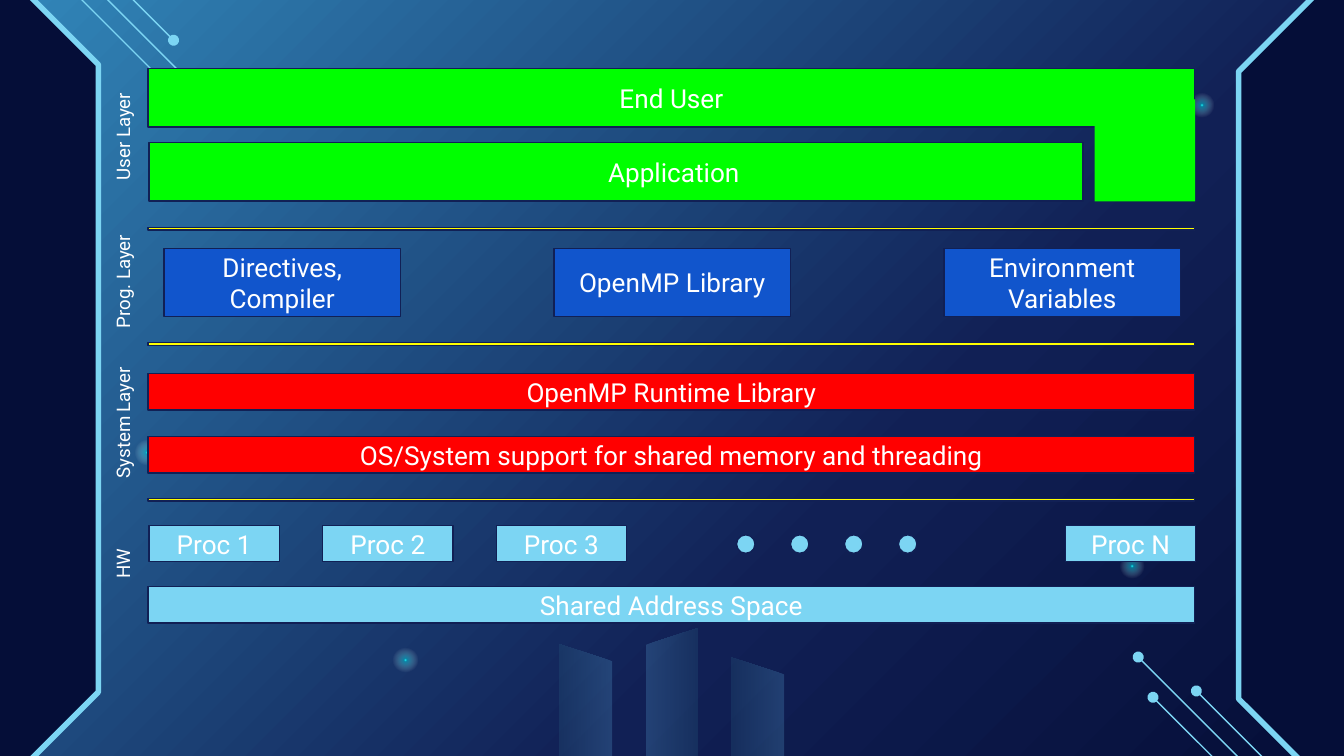
from dataclasses import dataclass

import pptx
import pptx.dml.color
import pptx.enum.shapes
import pptx.enum.text
import pptx.oxml.ns
import pptx.util
from lxml import etree

Cm = pptx.util.Cm
Pt = pptx.util.Pt
SHAPE = pptx.enum.shapes.MSO_SHAPE
qn = pptx.oxml.ns.qn


@dataclass(frozen=True)
class Theme:
    font: str = "Roboto"
    box_size: int = 14
    label_size: int = 10
    text: str = "FFFFFF"
    navy: str = "050E38"
    outline: str = "112055"
    sky: str = "7CD5F3"
    user: str = "00FF00"
    prog: str = "1155CC"
    system: str = "FF0000"
    rule: str = "FFFF00"
    background: tuple = ((0, "3186B9", 100), (64, "112055", 100), (100, "050E38", 100))
    glow: tuple = ((0, "21FFFF", 100), (9, "05D8E7", 48), (69, "FFFFFF", 0), (100, "FFFFFF", 0))
    tower: tuple = ((0, "59A4D3", 25), (100, "2A5F80", 25))


THEME = Theme()
LEFT, WIDTH = 2.8, 19.78
BAR_H = 0.69


def rgb(color):
    return pptx.dml.color.RGBColor.from_string(color)


def set_gradient(fill, element, stops, angle=None):
    """Fill with (position, colour, opacity) stops: linear at an angle, else radial."""
    fill.gradient()
    grad = element.find(".//" + qn("a:gradFill"))
    grad.attrib.clear()
    for child in list(grad):
        grad.remove(child)
    gs_list = etree.SubElement(grad, qn("a:gsLst"))
    for pos, color, opacity in stops:
        gs = etree.SubElement(gs_list, qn("a:gs"), pos=str(pos * 1000))
        clr = etree.SubElement(gs, qn("a:srgbClr"), val=color)
        if opacity < 100:
            etree.SubElement(clr, qn("a:alpha"), val=str(opacity * 1000))
    if angle is not None:
        etree.SubElement(grad, qn("a:lin"), ang=str(angle * 60000), scaled="0")
    else:
        radial = etree.SubElement(grad, qn("a:path"), path="circle")
        etree.SubElement(radial, qn("a:fillToRect"), l="50000", t="50000", r="50000", b="50000")


def add_shape(s, kind, x, y, w, h, fill=None, line=None, line_pt=0.75):
    sp = s.shapes.add_shape(kind, Cm(x), Cm(y), Cm(w), Cm(h))
    sp.shadow.inherit = False
    if fill:
        sp.fill.solid()
        sp.fill.fore_color.rgb = rgb(fill)
    if line:
        sp.line.color.rgb = rgb(line)
        sp.line.width = Pt(line_pt)
    else:
        sp.line.fill.background()
    return sp


def turn(sp, rotation):
    """Rotate a shape; those turned by 90 degrees are mirrored as well."""
    sp.rotation = rotation
    if rotation == 90:
        sp.element.spPr.find(qn("a:xfrm")).set("flipH", "1")


def write(sp, text, size):
    tf = sp.text_frame
    tf.word_wrap = True
    tf.margin_left = tf.margin_right = tf.margin_top = tf.margin_bottom = Cm(0.25)
    p = tf.paragraphs[0]
    p.text = text
    p.alignment = pptx.enum.text.PP_ALIGN.CENTER
    p.font.name = THEME.font
    p.font.size = Pt(size)
    p.font.color.rgb = rgb(THEME.text)
    return tf


def add_box(s, text, x, y, w, h, fill):
    sp = add_shape(s, SHAPE.RECTANGLE, x, y, w, h, fill, THEME.outline)
    tf = write(sp, text, THEME.box_size)
    tf.vertical_anchor = pptx.enum.text.MSO_ANCHOR.MIDDLE
    return tf


def add_label(s, text, y):
    sp = s.shapes.add_textbox(Cm(0.64), Cm(y), Cm(3.45), Cm(0.94))
    sp.rotation = 270
    write(sp, text, THEME.label_size)


def add_glow(s, x, y):
    sp = add_shape(s, SHAPE.OVAL, x, y, 0.48, 0.48)
    set_gradient(sp.fill, sp.element, THEME.glow)


def add_panel(s, x, y, rotation):
    sp = add_shape(s, SHAPE.SNIP_2_SAME_RECTANGLE, x, y, 15.44, 3.58, THEME.navy, THEME.sky, 3)
    sp.adjustments[0] = 0.5
    sp.adjustments[1] = 0
    turn(sp, rotation)


def add_tower(s, x, y, rotation):
    sp = add_shape(s, SHAPE.TRAPEZOID, x, y, 2.95, 0.99)
    sp.adjustments[0] = 0.321
    set_gradient(sp.fill, sp.element, THEME.tower, 90)
    turn(sp, rotation)


def add_circuit(s, x, y, run):
    """Diagonal line ending in a dot at (x, y), starting run away on both axes."""
    line = s.shapes.add_connector(pptx.enum.shapes.MSO_CONNECTOR.STRAIGHT,
                                  Cm(x + run), Cm(y + run), Cm(x), Cm(y))
    line.line.color.rgb = rgb(THEME.sky)
    line.line.width = Pt(0.75)
    etree.SubElement(line.line._get_or_add_ln(), qn("a:tailEnd"), type="oval")
    etree.SubElement(line.element.spPr, qn("a:effectLst"))


def add_decoration(s):
    set_gradient(s.background.fill, s.element, THEME.background, 45)
    for x, y in ((7.42, 12.24), (22.48, 1.75), (2.54, 8.31), (21.16, 10.46)):
        add_glow(s, x, y)
    add_panel(s, -7.65, 5.36, 90)
    for x, y in ((21.51, 12.42), (22.61, 13.06), (21.79, 13.18)):
        add_circuit(s, x, y, 4.15)
    for x, y in ((3.89, 1.85), (3.28, 0.76), (3.12, 1.57)):
        add_circuit(s, x, y, -4.15)
    for x, y, rotation in ((12.85, 13.41, 90), (11.23, 12.85, 270), (9.6, 13.16, 90)):
        add_tower(s, x, y, rotation)
    add_panel(s, 17.48, 5.49, 270)


def add_layers(s):
    for text, y, fill in (("Shared Address Space", 11.09, THEME.sky),
                          ("OS/System support for shared memory and threading", 8.25, THEME.system),
                          ("OpenMP Runtime Library", 7.06, THEME.system)):
        add_box(s, text, LEFT, y, WIDTH, BAR_H, fill)

    for text, column in (("Proc 1", 0), ("Proc 2", 1), ("Proc 3", 2), ("Proc N", 5.28)):
        add_box(s, text, 2.82 + column * 3.28, 9.93, 2.46, BAR_H, THEME.sky)
    for i in range(4):
        add_shape(s, SHAPE.OVAL, 13.92 + i * 1.02, 10.11, 0.35, 0.35, THEME.sky, THEME.outline)

    for i, text in enumerate(("Directives, Compiler", "OpenMP Library", "Environment Variables")):
        add_box(s, text, 3.1 + i * 7.37, 4.7, 4.47, 1.28, THEME.prog)

    add_box(s, "End User", LEFT, 1.3, WIDTH, 1.1, THEME.user)
    tf = add_box(s, "Application", 2.82, 2.7, 17.65, 1.1, THEME.user)
    tf.margin_left = Cm(2.43)
    add_shape(s, SHAPE.RECTANGLE, 20.69, 1.88, 1.9, 1.93, THEME.user)

    for y in (4.3, 6.48, 9.42):
        add_shape(s, SHAPE.RECTANGLE, LEFT, y, WIDTH, 0.05, THEME.rule, THEME.outline)
    for text, y in (("User Layer", 2.11), ("Prog. Layer", 4.85), ("System Layer", 7.52), ("HW", 10.19)):
        add_label(s, text, y)


def main():
    prs = pptx.Presentation()
    prs.slide_width, prs.slide_height = Cm(25.4), Cm(14.29)
    s = prs.slides.add_slide(prs.slide_layouts[6])
    add_decoration(s)
    add_layers(s)
    prs.save("out.pptx")


if __name__ == "__main__":
    main()
